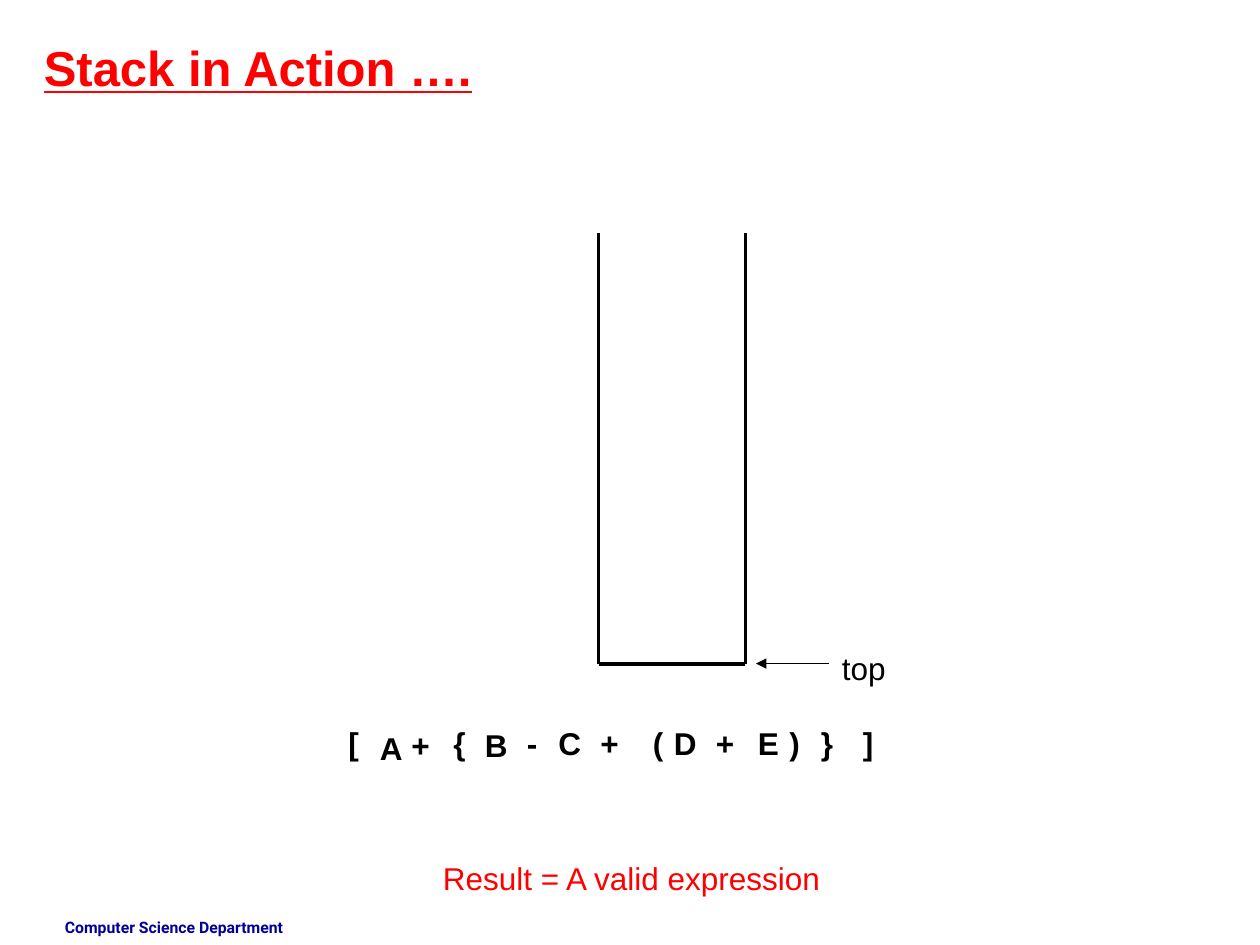
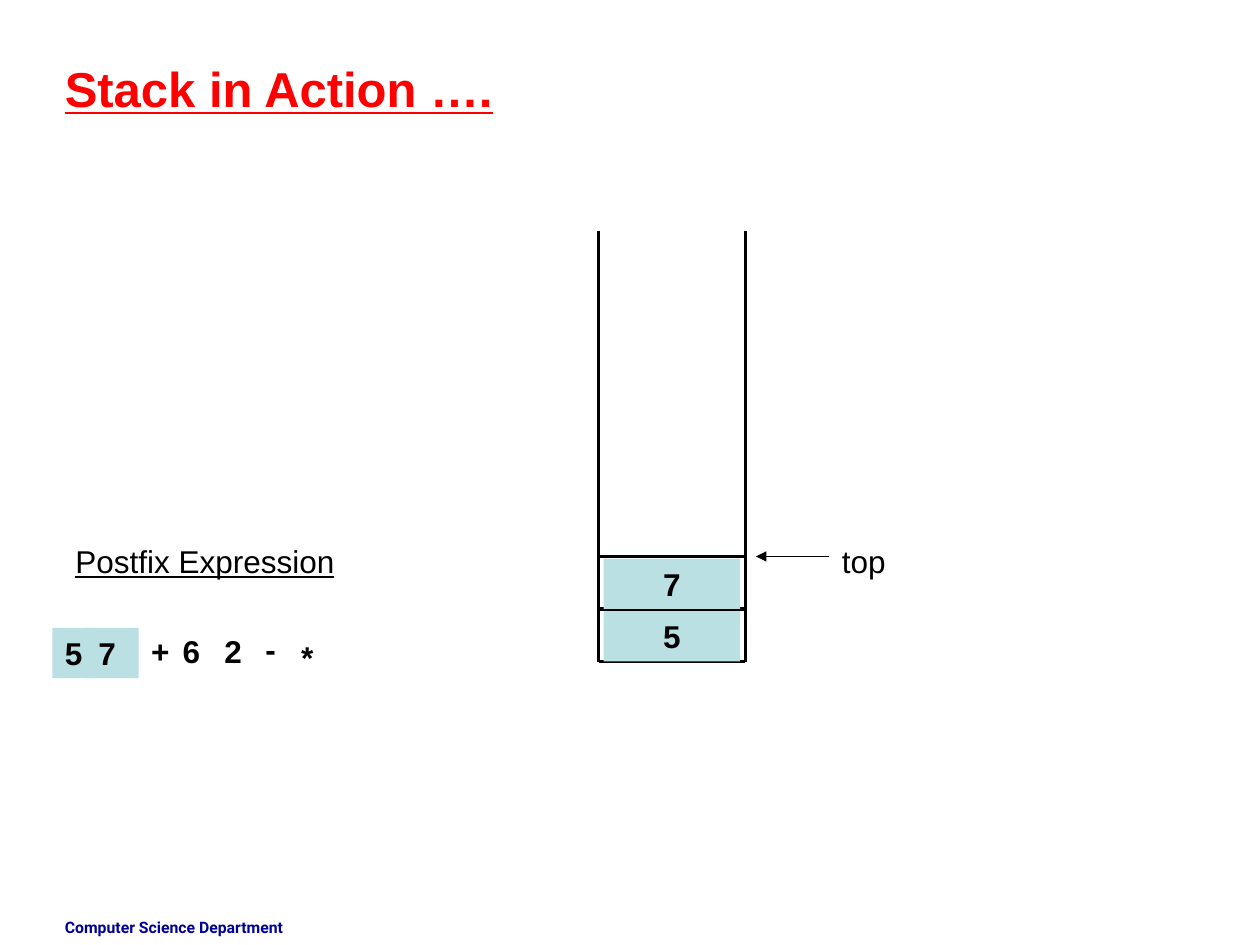
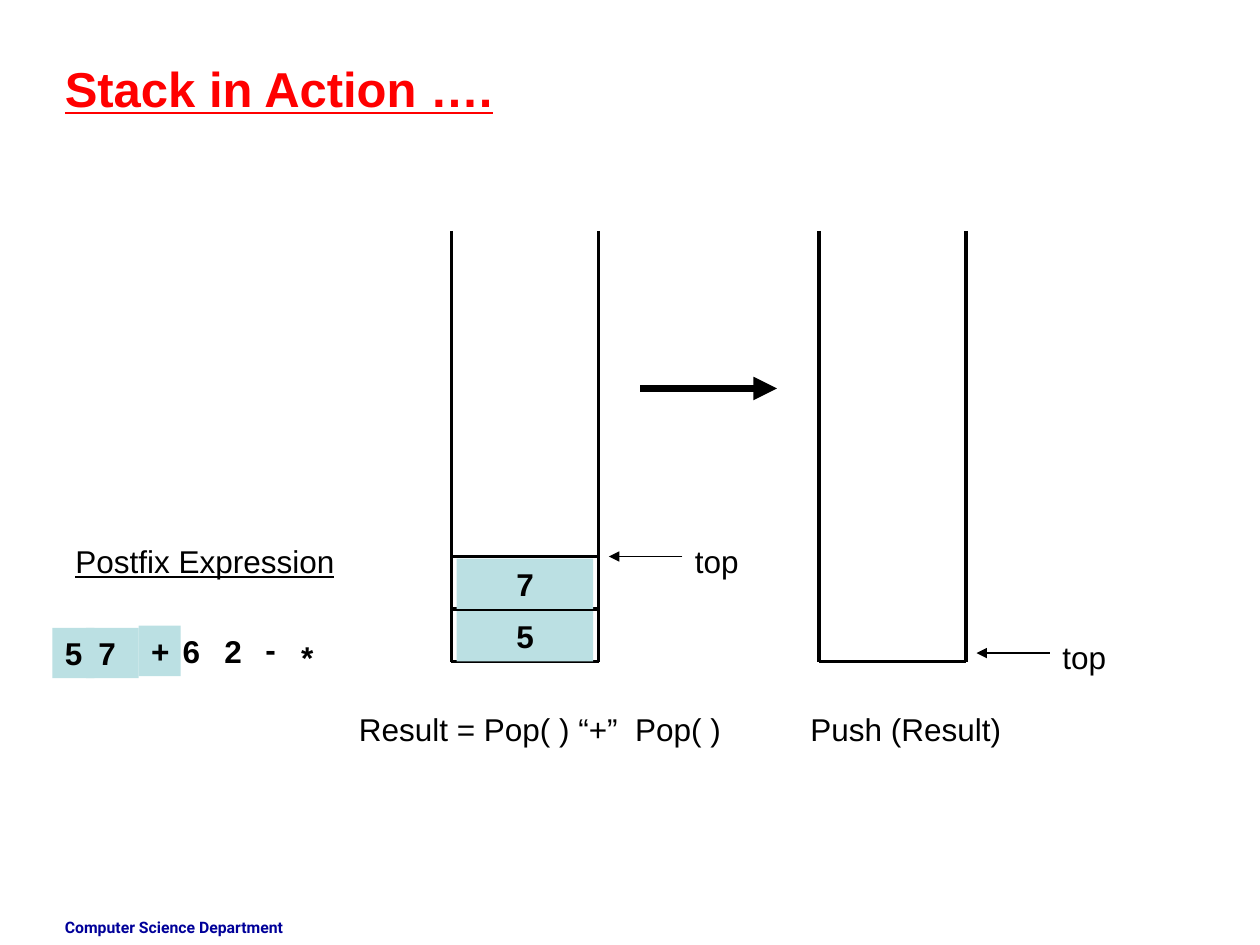
from lxml.etree import SubElement
from pptx import Presentation
from pptx.dml.color import RGBColor
from pptx.enum.shapes import MSO_CONNECTOR as Connector, MSO_SHAPE as Preset
from pptx.enum.text import MSO_ANCHOR as Anchor, PP_ALIGN as Align
from pptx.oxml.ns import qn
from pptx.util import Pt

PX = 7620
COLORS = {"ink": "000000", "accent": "FF0000", "footer": "000099", "used": "BBE0E3"}
BODY = {"name": "Arial", "size": Pt(18)}
TOKEN = {**BODY, "bold": True}
HEADING = {**BODY, "underline": True}
TITLE = {**HEADING, "size": Pt(28), "bold": True}
FOOTER = {"name": "Roboto", "size": Pt(9), "bold": True}
LINE_HEIGHT = 48
STACK_WIDTH = 140
CELL_STEP = 50


def write(slide, text, box, style=BODY, color="ink", fill=None, align=Align.LEFT):
    area = [length * PX for length in box]
    if fill:
        holder = slide.shapes.add_shape(Preset.RECTANGLE, *area)
        holder.shadow.inherit = False
        holder.fill.solid()
        holder.fill.fore_color.rgb = RGBColor.from_string(COLORS[fill])
        holder.line.fill.background()
    else:
        holder = slide.shapes.add_textbox(*area)
    frame = holder.text_frame
    frame.word_wrap = True
    frame.vertical_anchor = Anchor.TOP
    paragraph = frame.paragraphs[0]
    paragraph.alignment = align
    run = paragraph.add_run()
    run.text = text
    for attribute, value in style.items():
        setattr(run.font, attribute, value)
    run.font.color.rgb = RGBColor.from_string(COLORS[color])


def draw_line(slide, ends, width=2.25, arrow=False):
    line = slide.shapes.add_connector(Connector.STRAIGHT, *[end * PX for end in ends])
    line.line.width = Pt(width)
    line.line.color.rgb = RGBColor.from_string(COLORS["ink"])
    if arrow:
        SubElement(line.line._get_or_add_ln(), qn("a:tailEnd"), type="triangle")
    SubElement(line._element.spPr, qn("a:effectLst"))


infix_tokens = [
    ("[", 320, 684, 40), ("A", 350, 688, 50), ("+", 380, 686, 40),
    ("{", 420, 684, 40), ("B", 450, 686, 50), ("-", 490, 684, 40),
    ("C", 520, 684, 50), ("+", 560, 684, 50), ("(", 610, 684, 50),
    ("D", 630, 684, 50), ("+", 670, 684, 50), ("E", 710, 684, 50),
    (")", 740, 684, 50), ("}", 770, 684, 50), ("]", 810, 684, 50),
]
postfix_tokens = [
    ("5", 50, 598, 40), ("7", 82, 598, 50), ("+", 132, 596, 40),
    ("6", 162, 596, 40), ("2", 202, 596, 50), ("-", 241, 594, 40),
    ("*", 275, 602, 50),
]
postfix_heading = ("Postfix Expression", 60, 510, 330, HEADING, "ink")

steps = [
    {
        "title_at": (30, 30),
        "stacks": [(570, 222, "", 632)],
        "tokens": infix_tokens,
        "used": 0,
        "captions": [("Result = A valid expression", 410, 812, 420, BODY, "accent")],
        "transfers": [],
    },
    {
        "title_at": (50, 50),
        "stacks": [(570, 220, "57", 530)],
        "tokens": postfix_tokens,
        "used": 2,
        "captions": [postfix_heading],
        "transfers": [],
    },
    {
        "title_at": (50, 50),
        "stacks": [(430, 220, "57", 530), (780, 220, "", 622)],
        "tokens": postfix_tokens,
        "used": 3,
        "captions": [
            postfix_heading,
            ("Result = Pop( ) “+”  Pop( )", 330, 670, 400, BODY, "ink"),
            ("Push (Result)", 760, 670, 330, BODY, "ink"),
        ],
        "transfers": [(610, 370, 740, 370)],
    },
]

deck = Presentation()
deck.slide_width = 1200 * PX
deck.slide_height = 900 * PX

for step in steps:
    slide = deck.slides.add_slide(deck.slide_layouts[6])
    write(slide, "Computer Science Department", (50, 868, 280, 32), FOOTER, "footer")
    write(slide, "Stack in Action ….", (*step["title_at"], 790, 68), TITLE, "accent")

    for left, rim, values, pointer_y in step["stacks"]:
        right = left + STACK_WIDTH
        base = rim + 410
        for wall in (left, right):
            draw_line(slide, (wall, rim, wall, base))
        draw_line(slide, (left, base, right, base))
        for level, value in enumerate(values, start=1):
            lid = base - level * CELL_STEP
            draw_line(slide, (left, lid, right, lid))
            cell = (left + 5, lid + 2, STACK_WIDTH - 10, LINE_HEIGHT)
            write(slide, value, cell, TOKEN, fill="used", align=Align.CENTER)
        write(slide, "top", (right + 80, pointer_y - 20, 180, LINE_HEIGHT))
        draw_line(slide, (right + 80, pointer_y, right + 10, pointer_y), 0.75, arrow=True)

    for index, (token, x, y, width) in enumerate(step["tokens"]):
        fill = "used" if index < step["used"] else None
        write(slide, token, (x, y, width, LINE_HEIGHT), TOKEN, fill=fill)

    for caption, x, y, width, style, color in step["captions"]:
        write(slide, caption, (x, y, width, LINE_HEIGHT), style, color)

    for ends in step["transfers"]:
        draw_line(slide, ends, 4.5, arrow=True)

deck.save("out.pptx")
